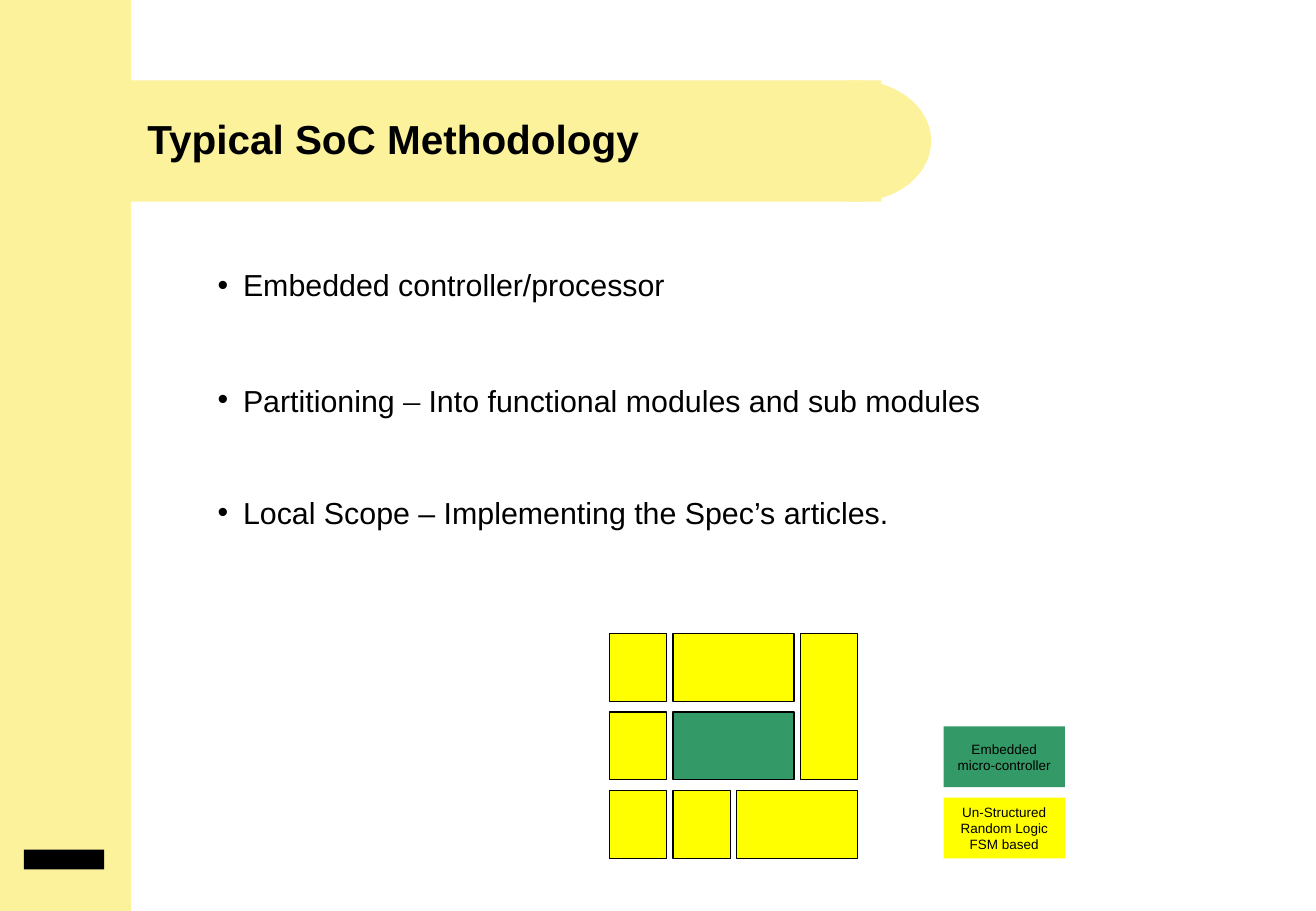
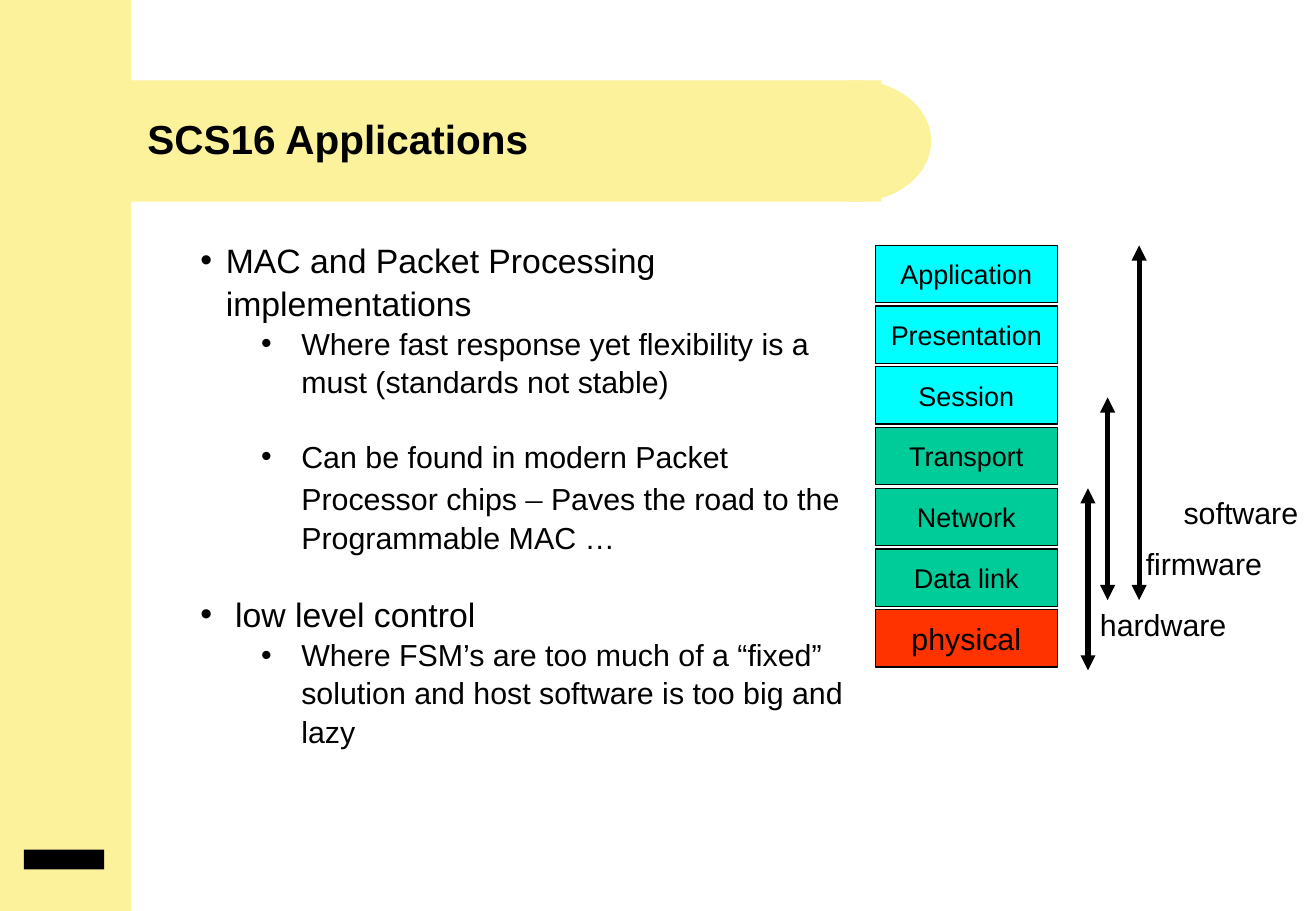
from dataclasses import dataclass

from pptx import Presentation
from pptx.dml.color import RGBColor
from pptx.enum.shapes import MSO_CONNECTOR, MSO_SHAPE
from pptx.enum.text import MSO_ANCHOR, MSO_AUTO_SIZE, PP_ALIGN
from pptx.oxml.ns import qn
from pptx.util import Cm, Pt
from lxml.etree import SubElement


@dataclass(frozen=True)
class Theme:
    sans: str = "Arial"
    serif: str = "Times New Roman"
    ink: str = "000000"
    band: str = "FBF29B"
    logic: str = "FFFF00"
    controller: str = "339966"
    upper_layer: str = "00FFFF"
    middle_layer: str = "00CC99"
    physical_layer: str = "FF3300"
    title: int = 24
    lead: int = 20
    body: int = 18
    layer: int = 16
    legend: int = 8
    outline: float = 0.75
    arrow: int = 3
    line_spacing: float = 1.05


THEME = Theme()


@dataclass(frozen=True)
class Bullet:
    text: str
    size: int = THEME.body
    level: int = 0
    margin: float = 0.79
    hanging: float = 0.53
    gap_before: float = 0
    serif_dash: bool = False


def lead_bullet(text, **options):
    return Bullet(text, size=THEME.lead, margin=0.53, **options)


def sub_bullet(text, **options):
    return Bullet(text, level=1, margin=2.11, hanging=0.84, **options)


def write(paragraph, text, size=THEME.body, font=THEME.sans, bold=False):
    """Append text to a paragraph, breaking lines at newlines."""
    for index, line in enumerate(text.split("\n")):
        if index:
            paragraph.add_line_break()
        run = paragraph.add_run()
        run.text = line
        run.font.size = Pt(size)
        run.font.name = font
        run.font.bold = bold
        run.font.color.rgb = RGBColor.from_string(THEME.ink)


def place(placeholder, left, top, width, height):
    placeholder.left, placeholder.top = Cm(left), Cm(top)
    placeholder.width, placeholder.height = Cm(width), Cm(height)


def add_block(slide, left, top, width, height, fill, outlined=False,
              label="", size=THEME.layer, preset=MSO_SHAPE.RECTANGLE):
    block = slide.shapes.add_shape(preset, Cm(left), Cm(top), Cm(width), Cm(height))
    block.shadow.inherit = False
    block.fill.solid()
    block.fill.fore_color.rgb = RGBColor.from_string(fill)
    if outlined:
        block.line.color.rgb = RGBColor.from_string(THEME.ink)
        block.line.width = Pt(THEME.outline)
    else:
        block.line.fill.background()
    if label:
        frame = block.text_frame
        frame.word_wrap = False
        frame.vertical_anchor = MSO_ANCHOR.MIDDLE
        frame.paragraphs[0].alignment = PP_ALIGN.CENTER
        write(frame.paragraphs[0], label, size=size)
    return block


def add_label(slide, text, left, top, width):
    label = slide.shapes.add_textbox(Cm(left), Cm(top), Cm(width), Cm(1.02))
    label.text_frame.word_wrap = False
    write(label.text_frame.paragraphs[0], text)


def add_span_arrow(slide, x, top, bottom):
    """Draw a vertical arrow with a head at each end."""
    arrow = slide.shapes.add_connector(
        MSO_CONNECTOR.STRAIGHT, Cm(x), Cm(top), Cm(x), Cm(bottom))
    arrow.line.color.rgb = RGBColor.from_string(THEME.ink)
    arrow.line.width = Pt(THEME.arrow)
    properties = arrow.element.spPr
    outline = properties.find(qn("a:ln"))
    for end in ("a:headEnd", "a:tailEnd"):
        SubElement(outline, qn(end), type="triangle")
    SubElement(properties, qn("a:effectLst"))


def decorate_layout(layout, slide):
    """Draw the bands and badge on a slide, then move them into its layout."""
    furniture = [
        add_block(slide, 0, 0, 2.74, 19.05, THEME.band),
        add_block(slide, 1.93, 1.68, 16.51, 2.54, THEME.band),
        add_block(slide, 16.31, 1.68, 3.17, 2.54, THEME.band, preset=MSO_SHAPE.OVAL),
        add_block(slide, 0.5, 17.77, 1.68, 0.41, THEME.ink),
    ]
    first_placeholder = layout.placeholders[0].element
    for part in furniture:
        first_placeholder.addprevious(part.element)


def set_title(slide, text):
    title = slide.shapes.title
    place(title, 2.83, 1.3, 23.4, 3.18)
    frame = title.text_frame
    frame.auto_size = MSO_AUTO_SIZE.NONE
    frame.vertical_anchor = MSO_ANCHOR.MIDDLE
    frame.paragraphs[0].alignment = PP_ALIGN.LEFT
    write(frame.paragraphs[0], text, size=THEME.title, bold=True)


def set_bullets(slide, bullets, left, top, width, height):
    body = slide.placeholders[1]
    place(body, left, top, width, height)
    frame = body.text_frame
    frame.auto_size = MSO_AUTO_SIZE.NONE
    for index, bullet in enumerate(bullets):
        paragraph = frame.add_paragraph() if index else frame.paragraphs[0]
        paragraph.level = bullet.level
        paragraph.line_spacing = THEME.line_spacing
        paragraph.space_before = Pt(bullet.gap_before)
        properties = paragraph._p.get_or_add_pPr()
        properties.set("marL", str(Cm(bullet.margin)))
        properties.set("indent", str(-Cm(bullet.hanging)))
        SubElement(properties, qn("a:buChar"), char="•")
        if bullet.serif_dash:
            before, dash, after = bullet.text.partition("–")
            write(paragraph, before, size=bullet.size)
            write(paragraph, dash, size=THEME.lead, font=THEME.serif)
            write(paragraph, after, size=bullet.size)
        else:
            write(paragraph, bullet.text, size=bullet.size)


def add_floorplan(slide):
    left, top, cell_width, cell_height, gap_x, gap_y = 12.75, 13.25, 1.2, 1.42, 0.13, 0.22
    modules = [  # column, row, columns spanned, rows spanned
        (0, 0, 1, 1), (1, 0, 2, 1), (3, 0, 1, 2),
        (0, 1, 1, 1), (1, 1, 2, 1),
        (0, 2, 1, 1), (1, 2, 1, 1), (2, 2, 2, 1),
    ]
    for column, row, columns, rows in modules:
        is_controller = (column, row) == (1, 1)
        add_block(slide,
                  left + column * (cell_width + gap_x),
                  top + row * (cell_height + gap_y),
                  columns * (cell_width + gap_x) - gap_x,
                  rows * (cell_height + gap_y) - gap_y,
                  THEME.controller if is_controller else THEME.logic, outlined=True)


def add_legend(slide):
    entries = [("Embedded\nmicro-controller", THEME.controller),
               ("Un-Structured\nRandom Logic\nFSM based", THEME.logic)]
    for index, (meaning, fill) in enumerate(entries):
        add_block(slide, 19.74, 15.19 + index * 1.49, 2.54, 1.27, fill,
                  label=meaning, size=THEME.legend)


def add_layer_stack(slide):
    layers = [
        ("Application", THEME.upper_layer, THEME.layer),
        ("Presentation", THEME.upper_layer, THEME.layer),
        ("Session", THEME.upper_layer, THEME.layer),
        ("Transport", THEME.middle_layer, THEME.layer),
        ("Network", THEME.middle_layer, THEME.layer),
        ("Data link", THEME.middle_layer, THEME.layer),
        ("physical", THEME.physical_layer, THEME.body),
    ]
    for index, (layer, fill, size) in enumerate(layers):
        add_block(slide, 18.31, 5.13 + index * 1.27, 3.81, 1.2, fill,
                  outlined=True, label=layer, size=size)


def add_scopes(slide):
    """Show which layers hardware, firmware and software cover."""
    scopes = [  # name, arrow x, arrow top, arrow bottom, label left, top, width
        ("hardware", 22.76, 10.21, 14.02, 22.76, 12.55, 3.15),
        ("firmware", 23.17, 8.31, 12.55, 23.72, 11.28, 2.95),
        ("software", 23.83, 5.13, 12.55, 24.51, 10.21, 2.9),
    ]
    for name, x, top, bottom, label_left, label_top, label_width in scopes:
        add_span_arrow(slide, x, top, bottom)
        add_label(slide, name, label_left, label_top, label_width)


def build_methodology(slide):
    set_title(slide, "Typical SoC Methodology")
    set_bullets(slide, [
        Bullet("Embedded controller/processor"),
        Bullet("Partitioning – Into functional modules and sub modules",
               gap_before=43.5, serif_dash=True),
        Bullet("Local Scope – Implementing the Spec’s articles.", gap_before=43.5),
    ], 4.04, 5.41, 19.05, 6.5)
    add_floorplan(slide)
    add_legend(slide)


def build_applications(slide):
    set_title(slide, "SCS16 Applications")
    set_bullets(slide, [
        lead_bullet("MAC and Packet Processing implementations"),
        sub_bullet("Where fast response yet flexibility is a must (standards not stable)"),
        sub_bullet("Can be found in modern Packet Processor chips – "
                   "Paves the road to the Programmable MAC …",
                   gap_before=21.75, serif_dash=True),
        lead_bullet(" low level control", gap_before=21.75),
        sub_bullet("Where FSM’s are too much of a “fixed” solution "
                   "and host software is too big and lazy"),
    ], 3.94, 4.85, 14.2, 12.19)
    add_layer_stack(slide)
    add_scopes(slide)


def main():
    deck = Presentation()
    deck.slide_width, deck.slide_height = Cm(27.53), Cm(19.05)
    layout = deck.slide_layouts[1]
    methodology = deck.slides.add_slide(layout)
    decorate_layout(layout, methodology)
    build_methodology(methodology)
    build_applications(deck.slides.add_slide(layout))
    deck.save("out.pptx")


if __name__ == "__main__":
    main()
